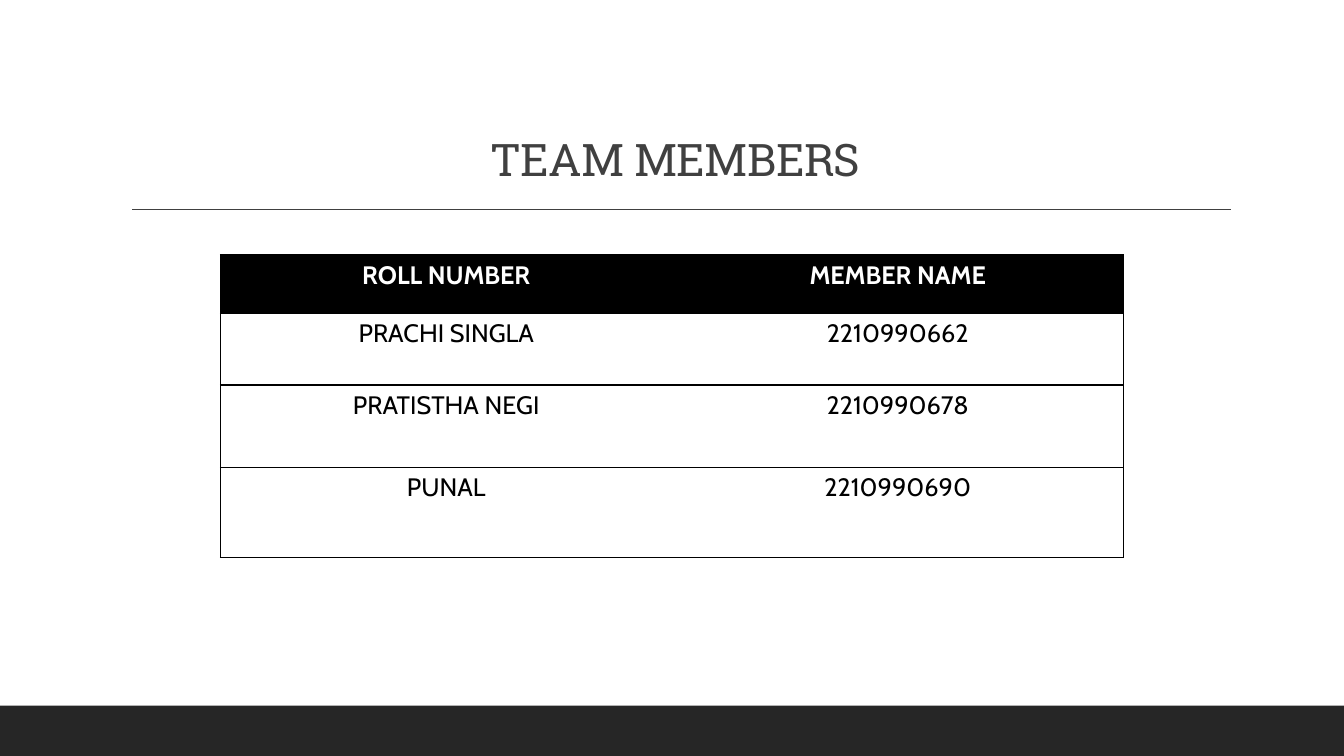
from lxml.etree import SubElement
from pptx import Presentation
from pptx.dml.color import RGBColor as Color
from pptx.enum.shapes import MSO_CONNECTOR as Connector, MSO_SHAPE as Shape
from pptx.enum.text import MSO_ANCHOR as Anchor, MSO_AUTO_SIZE as AutoSize, PP_ALIGN as Align
from pptx.oxml.ns import qn
from pptx.util import Pt

COLORS = {"band": "262626", "title": "404040", "ink": "000000", "paper": "FFFFFF"}
WIDTH, HEIGHT = 960, 540


class TeamSlide:
    """Hold the slide with its colours and fonts, and add each kind of element."""

    def __init__(self, deck):
        self.slide = deck.slides.add_slide(deck.slide_layouts[5])
        self.title_font, self.body_font = "Roboto Slab", "Cabin"
        self.slide.background.fill.solid()
        self.slide.background.fill.fore_color.rgb = self.color("paper")

    def color(self, name):
        return Color.from_string(COLORS[name])

    def style(self, paragraph, font, size, color, bold=False):
        paragraph.alignment = Align.CENTER
        paragraph.font.name, paragraph.font.size = font, Pt(size)
        paragraph.font.bold = bold
        paragraph.font.color.rgb = self.color(color)

    def title(self, text, left, top, width, height):
        heading = self.slide.shapes.title
        heading.left, heading.top = Pt(left), Pt(top)
        heading.width, heading.height = Pt(width), Pt(height)
        frame = heading.text_frame
        frame.text = text
        frame.auto_size, frame.word_wrap = AutoSize.NONE, True
        frame.vertical_anchor = Anchor.BOTTOM
        line = frame.paragraphs[0]
        line.line_spacing = 0.9
        self.style(line, self.title_font, 32, "title")
        line.runs[0].font._element.set("spc", "-50")

    def band(self, top, height):
        footer = self.slide.shapes.add_shape(Shape.RECTANGLE, 0, Pt(top), Pt(WIDTH), Pt(height))
        footer.shadow.inherit = False
        footer.fill.solid()
        footer.fill.fore_color.rgb = self.color("band")
        footer.line.fill.background()

    def rule(self, left, right, y):
        divider = self.slide.shapes.add_connector(
            Connector.STRAIGHT, Pt(left), Pt(y), Pt(right), Pt(y))
        divider.line.color.rgb = self.color("title")
        divider.line.width = Pt(1)
        SubElement(divider._element.spPr, qn("a:effectLst"))

    def border(self, cell, side, visible):
        edge = SubElement(cell._tc.get_or_add_tcPr(), qn(f"a:ln{side}"), w=str(Pt(1)))
        if visible:
            fill = SubElement(edge, qn("a:solidFill"))
            SubElement(fill, qn("a:srgbClr"), val=COLORS["ink"])
        else:
            SubElement(edge, qn("a:noFill"))

    def table(self, rows, left, top, width, heights):
        columns = len(rows[0])
        members = self.slide.shapes.add_table(
            len(rows), columns, Pt(left), Pt(top), Pt(width), Pt(sum(heights))).table
        members.first_row = members.horz_banding = False
        for r, (values, height) in enumerate(zip(rows, heights)):
            members.rows[r].height = Pt(height)
            header = r == 0
            for c, value in enumerate(values):
                cell = members.cell(r, c)
                cell.text = value
                self.style(cell.text_frame.paragraphs[0], self.body_font, 18,
                           "paper" if header else "ink", header)
                edges = {"L": c == 0, "R": c == columns - 1, "T": True, "B": True}
                for side, visible in edges.items():
                    self.border(cell, side, visible)
                cell.fill.solid()
                cell.fill.fore_color.rgb = self.color("ink" if header else "paper")


def main():
    deck = Presentation()
    deck.slide_width, deck.slide_height = Pt(WIDTH), Pt(HEIGHT)
    team = TeamSlide(deck)
    team.band(HEIGHT - 36, 36)
    team.rule(94.5, 879, 149.5)
    team.title("TEAM MEMBERS", 86.4, 22.3, 792, 114.5)
    team.table([
        ("ROLL NUMBER", "MEMBER NAME"),
        ("PRACHI SINGLA", "2210990662"),
        ("PRATISTHA NEGI", "2210990678"),
        ("PUNAL", "2210990690"),
    ], 157.5, 182, 645, (42, 51, 59, 64))
    deck.save("out.pptx")


if __name__ == "__main__":
    main()
